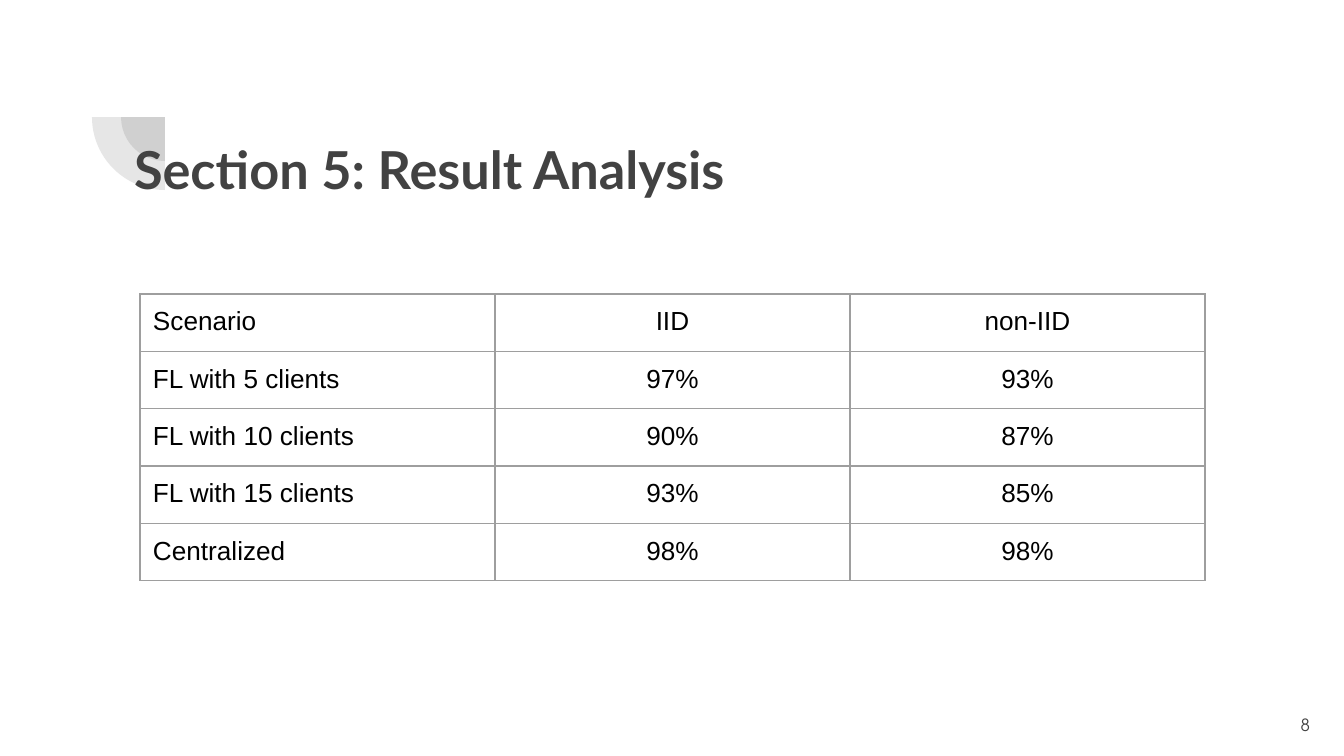
from lxml import etree
from pptx import Presentation
from pptx.dml.color import RGBColor
from pptx.enum.shapes import MSO_SHAPE
from pptx.enum.text import MSO_ANCHOR, PP_ALIGN
from pptx.oxml.ns import qn
from pptx.util import Emu, Pt

PIE = MSO_SHAPE.PIE
TOP, MIDDLE = MSO_ANCHOR.TOP, MSO_ANCHOR.MIDDLE
LEFT, CENTER, RIGHT = PP_ALIGN.LEFT, PP_ALIGN.CENTER, PP_ALIGN.RIGHT

EMU_PER_PX = 914400 / 134.4
SLIDE_WIDTH, SLIDE_HEIGHT = 1344, 756
INSET = 13
DARK, BLACK, BORDER = "424242", "000000", "9E9E9E"

TITLE_FORMAT = {"name": "Lato", "size": Pt(28), "bold": True}
NUMBER_FORMAT = {"name": "TeX Gyre Adventor", "size": Pt(9), "bold": False}
CELL_FORMAT = {"name": "Arial", "size": Pt(14), "bold": False}

RESULTS = [
    ("Scenario", "IID", "non-IID"),
    ("FL with 5 clients", "97%", "93%"),
    ("FL with 10 clients", "90%", "87%"),
    ("FL with 15 clients", "93%", "85%"),
    ("Centralized", "98%", "98%"),
]


def px(length):
    """Turn pixels into EMU."""
    return Emu(round(length * EMU_PER_PX))


def color(hex_value):
    return RGBColor.from_string(hex_value)


class SlideBuilder:
    """Holds the current slide and the style shared by its elements."""

    def __init__(self, slide):
        self.slide = slide
        self.margins = {
            f"margin_{side}": px(INSET) for side in ("left", "right", "top", "bottom")
        }

    def set_margins(self, target):
        for name, value in self.margins.items():
            setattr(target, name, value)

    def fill_text(self, text_frame, text, font_format, text_color, alignment):
        paragraph = text_frame.paragraphs[0]
        paragraph.alignment = alignment
        run = paragraph.add_run()
        run.text = text
        for name, value in font_format.items():
            setattr(run.font, name, value)
        run.font.color.rgb = color(text_color)

    def text_box(self, box, text, font_format, alignment=LEFT, anchor=TOP):
        text_frame = self.slide.shapes.add_textbox(*map(px, box)).text_frame
        text_frame.word_wrap = True
        text_frame.vertical_anchor = anchor
        self.set_margins(text_frame)
        self.fill_text(text_frame, text, font_format, DARK, alignment)

    def quarter_disc(self, center_x, center_y, diameter, opacity):
        """Draw the lower-left quarter of a translucent disc."""
        radius = diameter / 2
        box = (center_x - radius, center_y - radius, diameter, diameter)
        shape = self.slide.shapes.add_shape(PIE, *map(px, box))
        shape.adjustments[0], shape.adjustments[1] = 108, 162
        shape.rotation = 270
        shape.shadow.inherit = False
        shape.line.fill.background()
        shape.fill.solid()
        shape.fill.fore_color.rgb = color(DARK)
        fill_color = shape.element.spPr.find(f".//{qn('a:srgbClr')}")
        etree.SubElement(fill_color, qn("a:alpha"), val=str(opacity * 1000))

    def border(self, cell):
        properties = cell._tc.get_or_add_tcPr()
        for index, side in enumerate(("lnL", "lnR", "lnT", "lnB")):
            line = etree.Element(qn(f"a:{side}"), w=str(Pt(0.75)))
            fill = etree.SubElement(line, qn("a:solidFill"))
            etree.SubElement(fill, qn("a:srgbClr"), val=BORDER)
            properties.insert(index, line)

    def table(self, left, top, column_width, row_height, rows):
        row_count, column_count = len(rows), len(rows[0])
        box = (left, top, column_width * column_count, row_height * row_count)
        table = self.slide.shapes.add_table(
            row_count, column_count, *map(px, box)
        ).table
        table.first_row = table.horz_banding = False
        for column in table.columns:
            column.width = px(column_width)
        for row, values in zip(table.rows, rows):
            row.height = px(row_height)
            for index, (cell, value) in enumerate(zip(row.cells, values)):
                alignment = CENTER if index else LEFT
                cell.fill.background()
                self.set_margins(cell)
                self.border(cell)
                self.fill_text(cell.text_frame, value, CELL_FORMAT, BLACK, alignment)


def main():
    presentation = Presentation()
    presentation.slide_width = px(SLIDE_WIDTH)
    presentation.slide_height = px(SLIDE_HEIGHT)
    builder = SlideBuilder(
        presentation.slides.add_slide(presentation.slide_layouts[6])
    )

    for diameter in (88, 146):
        builder.quarter_disc(165, 117, diameter, opacity=13)
    builder.text_box((121, 124, 1103, 103), "Section 5: Result Analysis", TITLE_FORMAT)
    builder.text_box((1242, 696, 81, 58), "8", NUMBER_FORMAT, RIGHT, MIDDLE)
    builder.table(140, 294, 355, 56, RESULTS)

    presentation.save("out.pptx")


if __name__ == "__main__":
    main()
